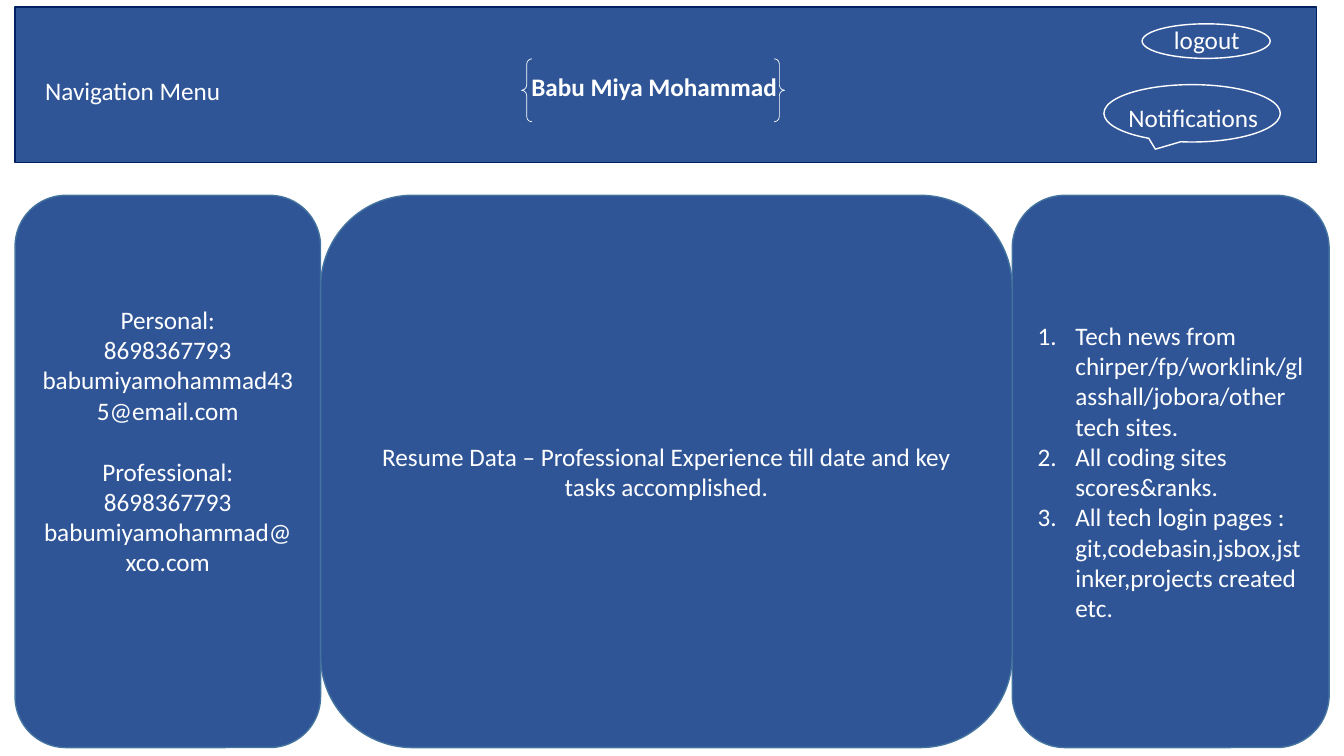
import pptx
import pptx.util
import pptx.dml.color
import pptx.enum.shapes
import pptx.enum.text
import lxml.etree

Pt = pptx.util.Pt
KIND = pptx.enum.shapes.MSO_SHAPE
TEXT = pptx.enum.text
COLORS = {"fill": "2F5597", "navy": "002060", "edge": "43739E", "white": "FFFFFF"}

deck = pptx.Presentation()
deck.slide_width, deck.slide_height = Pt(960), Pt(540)
slide = deck.slides.add_slide(deck.slide_layouts[6])


def add_box(kind, box, fill, line, width=1):
    """Add a shadowless preset shape; a fill of None leaves it hollow."""
    shape = slide.shapes.add_shape(kind, *map(Pt, box))
    shape.shadow.inherit = False
    if fill:
        shape.fill.solid()
        shape.fill.fore_color.rgb = pptx.dml.color.RGBColor.from_string(COLORS[fill])
    else:
        shape.fill.background()
    shape.line.color.rgb = pptx.dml.color.RGBColor.from_string(COLORS[line])
    shape.line.width = Pt(width)
    return shape


def add_run(para, words, bold=False):
    """Add a white 18 point run to a paragraph."""
    run = para.add_run()
    run.text = words
    run.font.name, run.font.size, run.font.bold = "Calibri", Pt(18), bold
    run.font.color.rgb = pptx.dml.color.RGBColor.from_string(COLORS["white"])


# Header bar and its labels
add_box(KIND.RECTANGLE, (10.8, 5, 929.5, 111), "fill", "navy")
labels = [
    ("Babu Miya Mohammad", 372.5, 47.5, 191.5, True),
    ("logout", 831.5, 13.7, 62, False),
    ("Notifications", 799, 69.5, 108.5, False),
    ("Navigation Menu", 25.2, 50.4, 141, False),
]
for words, left, top, width, bold in labels:
    label = slide.shapes.add_textbox(Pt(left), Pt(top), Pt(width), Pt(29))
    label.text_frame.word_wrap = False
    label.text_frame.auto_size = TEXT.MSO_AUTO_SIZE.SHAPE_TO_FIT_TEXT
    add_run(label.text_frame.paragraphs[0], words, bold)

# Three panels: contacts, links, resume
contacts = [
    "Personal:", "8698367793", "babumiyamohammad435@email.com",
    "Professional:", "8698367793", "babumiyamohammad@xco.com",
]
links = [
    "Tech news from chirper/fp/worklink/glasshall/jobora/other tech sites.",
    "All coding sites scores&ranks.",
    "All tech login pages : git,codebasin,jsbox,jstinker,projects created etc.",
]
resume = ["Resume Data – Professional Experience till date and key tasks accomplished."]
panels = [
    (contacts, 10.8, 218.2, False),
    (links, 723, 226.4, True),
    (resume, 229, 494, False),
]
for lines, left, width, listed in panels:
    panel = add_box(KIND.ROUNDED_RECTANGLE, (left, 139.5, width, 394.5), "fill", "edge")
    frame = panel.text_frame
    frame.word_wrap = True
    frame.vertical_anchor = TEXT.MSO_ANCHOR.MIDDLE
    if lines is contacts:
        frame.margin_bottom = Pt(47.6)
    for place, words in enumerate(lines):
        para = frame.paragraphs[0] if place == 0 else frame.add_paragraph()
        para.alignment = TEXT.PP_ALIGN.LEFT if listed else TEXT.PP_ALIGN.CENTER
        if words == "Professional:":
            para.space_before = Pt(22)
        if listed:
            props = para._p.get_or_add_pPr()
            props.set("marL", str(Pt(27)))
            props.set("indent", str(-Pt(27)))
            mark = lxml.etree.SubElement(props, pptx.oxml.ns.qn("a:buAutoNum"))
            mark.set("type", "arabicPeriod")
        add_run(para, words)

# Outlines around the header labels
outlines = [
    (KIND.OVAL, (822.5, 17, 92, 25), 1),
    (KIND.DOUBLE_BRACE, (372.5, 42, 188, 45), 0.5),
    (KIND.OVAL_CALLOUT, (788.5, 60.5, 126, 41), 1),
]
outlines[0] = (KIND.OVAL, (815.8, 17, 91.5, 24.7), 1)
for kind, box, width in outlines:
    add_box(kind, box, None, "white", width)

deck.save("out.pptx")
